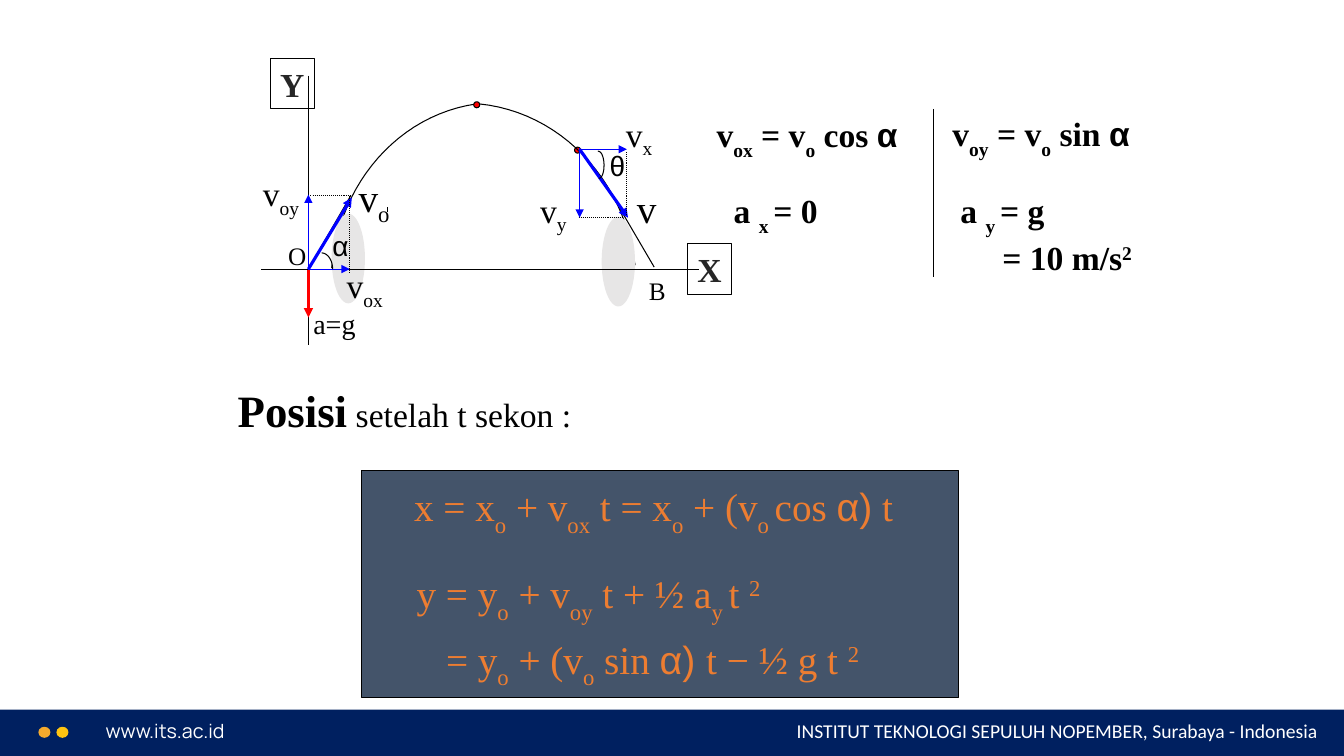
from lxml.etree import SubElement
from pptx import Presentation
from pptx.dml.color import RGBColor
from pptx.enum.dml import MSO_LINE
from pptx.enum.shapes import MSO_CONNECTOR, MSO_SHAPE
from pptx.enum.text import MSO_ANCHOR, PP_ALIGN
from pptx.oxml.ns import qn
from pptx.util import Pt

COLORS = {
    "navy": "002060", "white": "FFFFFF", "amber": "F5AA2D", "yellow": "FFC411",
    "black": "000000", "dark": "262626", "red": "FF0000", "blue": "0000FF",
    "shade": "E7E6E6", "slate": "44546A", "orange": "ED7D31",
}
SERIF = "Times New Roman"
GREEK = "Arial"


def rgb(name):
    return RGBColor.from_string(COLORS[name])


def write(box, lines, size, color="black", font=SERIF, bold=False,
          wrap=True, align=PP_ALIGN.LEFT, base=30, indents=()):
    """Spans are split by |; a leading _ ^ ~ * means sub, super, Greek, heading."""
    frame = box.text_frame
    frame.word_wrap = wrap
    frame.vertical_anchor = MSO_ANCHOR.TOP
    for index, line in enumerate(lines):
        para = frame.paragraphs[0] if index == 0 else frame.add_paragraph()
        para.alignment = align
        if index < len(indents):
            para._p.get_or_add_pPr().set("marL", str(Pt(indents[index])))
        para.font.size = Pt(size)
        para.font.name = font
        para.font.bold = bold
        para.font.color.rgb = rgb(color)
        for part in line.split("|"):
            mark = part[0] if part[0] in "_^~*" else ""
            span = para.add_run()
            span.text = part[len(mark):]
            if mark in ("_", "^"):
                shift = -base if mark == "_" else base
                span._r.get_or_add_rPr().set("baseline", str(shift * 1000))
            elif mark == "~":
                span.font.name = GREEK
            elif mark == "*":
                span.font.size = Pt(32)
                span.font.bold = True


def add_text(page, left, top, width, lines, size, **style):
    height = 1.2 * size * len(lines) + 7.2
    box = page.shapes.add_textbox(Pt(left), Pt(top), Pt(width), Pt(height))
    write(box, lines, size, **style)


def add_shape(page, kind, left, top, width, height, fill=None, outline=False):
    shape = page.shapes.add_shape(kind, Pt(left), Pt(top), Pt(width), Pt(height))
    shape.shadow.inherit = False
    paint(shape, fill, outline)
    return shape


def paint(shape, fill, outline):
    if fill:
        shape.fill.solid()
        shape.fill.fore_color.rgb = rgb(fill)
    else:
        shape.fill.background()
    if outline:
        shape.line.color.rgb = rgb("black")
        shape.line.width = Pt(0.75)
    else:
        shape.line.fill.background()


def add_line(page, start, end, color="black", width=0.75, dotted=False, arrow=False):
    line = page.shapes.add_connector(
        MSO_CONNECTOR.STRAIGHT, *(Pt(value) for value in (*start, *end)))
    line.line.color.rgb = rgb(color)
    line.line.width = Pt(width)
    if dotted:
        line.line.dash_style = MSO_LINE.ROUND_DOT
    properties = line._element.spPr
    if arrow:
        SubElement(properties.find(qn("a:ln")), qn("a:tailEnd"), type="triangle")
    SubElement(properties, qn("a:effectLst"))


def add_curve(page, controls, steps=24):
    """Draw a cubic curve through its four control points."""
    points = []
    for step in range(steps + 1):
        t = step / steps
        weights = ((1 - t) ** 3, 3 * t * (1 - t) ** 2, 3 * t * t * (1 - t), t ** 3)
        points.append(tuple(
            Pt(sum(weight * point[axis] for weight, point in zip(weights, controls)))
            for axis in (0, 1)))
    builder = page.shapes.build_freeform(*points[0])
    builder.add_line_segments(points[1:], close=False)
    curve = builder.convert_to_shape()
    curve.shadow.inherit = False
    paint(curve, None, True)


def draw_footer(page, left, top, width, height):
    add_shape(page, MSO_SHAPE.RECTANGLE, left, top, width, height, "navy")
    add_text(page, left + 68.4, top + 3, 308, ["www.its.ac.id"], 14,
             color="white", font="Manrope")
    for offset, color in ((27.4, "amber"), (40.3, "yellow")):
        add_shape(page, MSO_SHAPE.OVAL, left + offset, top + 12.2, 8.6, 7.9, color)
    add_text(page, left + width - 534, top + 3, 522.5,
             ["INSTITUT TEKNOLOGI SEPULUH NOPEMBER, Surabaya - Indonesia"], 14,
             color="white", font="Calibri", align=PP_ALIGN.RIGHT)


def draw_trajectory(page, left, top, width, height):
    origin_x, origin_y = left + 40.3, top + 152.2

    def at(x, y):
        return origin_x + x, origin_y + y

    def line(start, end, **style):
        add_line(page, at(*start), at(*end), **style)

    def curve(*controls):
        add_curve(page, [at(*point) for point in controls])

    def dot(x, y):
        add_shape(page, MSO_SHAPE.OVAL, *at(x, y), 4.3, 4.3, "red", True)

    # Flight path and axes
    dot(190.1, -87.1)
    curve((233.3, -2.8), (225.4, -64.8), (179.3, -112.3), (121.7, -118))
    curve((16.6, -0.7), (22.3, -61.9), (64.8, -110.1), (120.3, -118))
    line((0, -138.2), (0, 54))
    line((216.7, -53.2), (247, -1.4))
    line((30.3, -52.5), (0, 0))
    line((56.2, -41), (56.2, -44.6))
    for x, y in ((16.6, -39.6), (209.5, -37.4)):
        add_shape(page, MSO_SHAPE.OVAL, *at(x, y), 23.8, 64.1, "shade")
    line((-33.8, 0), (width - 71.3, 0))

    # Velocity vectors with their components
    line((0, 0), (31, -51.1), color="blue", width=2.25, arrow=True)
    line((193.7, -85.6), (228.3, -36.7), color="blue", width=2.25, arrow=True)
    dot(118.1, -119.5)
    for start, end in (((29.5, -52.5), (29.5, 2.2)), ((0, -52.5), (29.5, -52.5)),
                       ((233.3, 21.6), (233.3, 21.6)),
                       ((193, -36.7), (225.4, -36.7)),
                       ((227.5, -83.5), (227.5, -38.1))):
        line(start, end, dotted=True)
    for start, end in (((0, 1.5), (0, -53.2)), ((0, 0), (29.5, 0)),
                       ((193.7, -86.4), (193.7, -36.7)),
                       ((193.7, -85.6), (227.5, -85.6))):
        line(start, end, color="blue", arrow=True)
    line((0, 0.8), (0, 34.6), color="red", width=2.25, arrow=True)

    # Angle arcs
    curve((9.4, -11.5), (13.7, -11.5), (17.3, -6.4), (17.3, 0))
    curve((206.7, -84.2), (212.5, -84.2), (212.5, -64.8), (207.4, -64.8))

    # Labels
    for name, x, y in (("Y", -27.3, -150.4), ("X", 270.7, -18)):
        label = add_shape(page, MSO_SHAPE.RECTANGLE, *at(x, y), 31.7, 36, None, True)
        write(label, [name], 24, color="dark", bold=True, wrap=False)
    for label, x, y, label_width, size in (
            ("B", 236.2, 0.8, 26.6, 18), ("O", -21.6, -24.4, 27.4, 18),
            ("a=g", -3.6, 23.1, 44.6, 20), ("v|_o", 28.8, -72, 38.2, 28),
            ("v|_ox", 20.2, -6.4, 42.5, 24), ("v|_oy", -39.6, -72, 42.5, 24),
            ("v", 227.5, -64, 28.8, 28), ("v|_y", 158.4, -60.4, 41.8, 24),
            ("v|_x", 219.6, -114.4, 34.6, 24),
            ("~α", 10.1, -32.4, 27.4, 20), ("~θ", 208.1, -90, 25.2, 20)):
        add_text(page, *at(x, y), label_width, [label], size, wrap=False, base=25)


def draw_components(page, left, top, width, height):
    for x, y, column, lines, indents in (
            (0, 0, 162, ["v|_ox| = v|_o| cos |~α"], ()),
            (168.5, -0.7, 156, ["v|_oy| = v|_o| sin |~α"], ()),
            (12.2, 54, 90, ["a |_x |= 0"], ()),
            (174.2, 54, 150, ["a |_y |= g", "= 10 m/s|^2"], (0, 30))):
        add_text(page, left + x, top + y, column, lines, 24, bold=True, indents=indents)
    middle = left + width / 2
    add_line(page, (middle, top), (middle, top + height))


def draw_position(page, left, top, width, height):
    add_text(page, left, top, 276, ["*Posisi| setelah t sekon :"], 24)
    panel_left, panel_top = left + 95.8, top + 66.2
    add_shape(page, MSO_SHAPE.RECTANGLE, panel_left, panel_top,
              width - 95.8, height - 66.2, "slate", True)
    for x, y, formula in (
            (30.2, 5.1, "x = x|_o| + v|_ox| t = x|_o| + (v|_o |cos |~α)| t"),
            (32, 67, "y = y|_o| + v|_oy| t + ½ a|_y |t |^2"),
            (53, 113.8, "= y|_o| + (v|_o| sin |~α) |t − ½ g t |^2")):
        add_text(page, panel_left + x, panel_top + y, 426 - x, [formula], 28,
                 color="orange")


def main():
    deck = Presentation()
    deck.slide_width, deck.slide_height = Pt(960), Pt(540)
    page = deck.slides.add_slide(deck.slide_layouts[6])
    draw_footer(page, 0, 506.9, 960, 33.1)
    draw_trajectory(page, 180, 40, 350, 210)
    draw_components(page, 504.7, 77.8, 324, 120.2)
    draw_position(page, 162.7, 270, 522, 228.2)
    deck.save("out.pptx")


if __name__ == "__main__":
    main()
